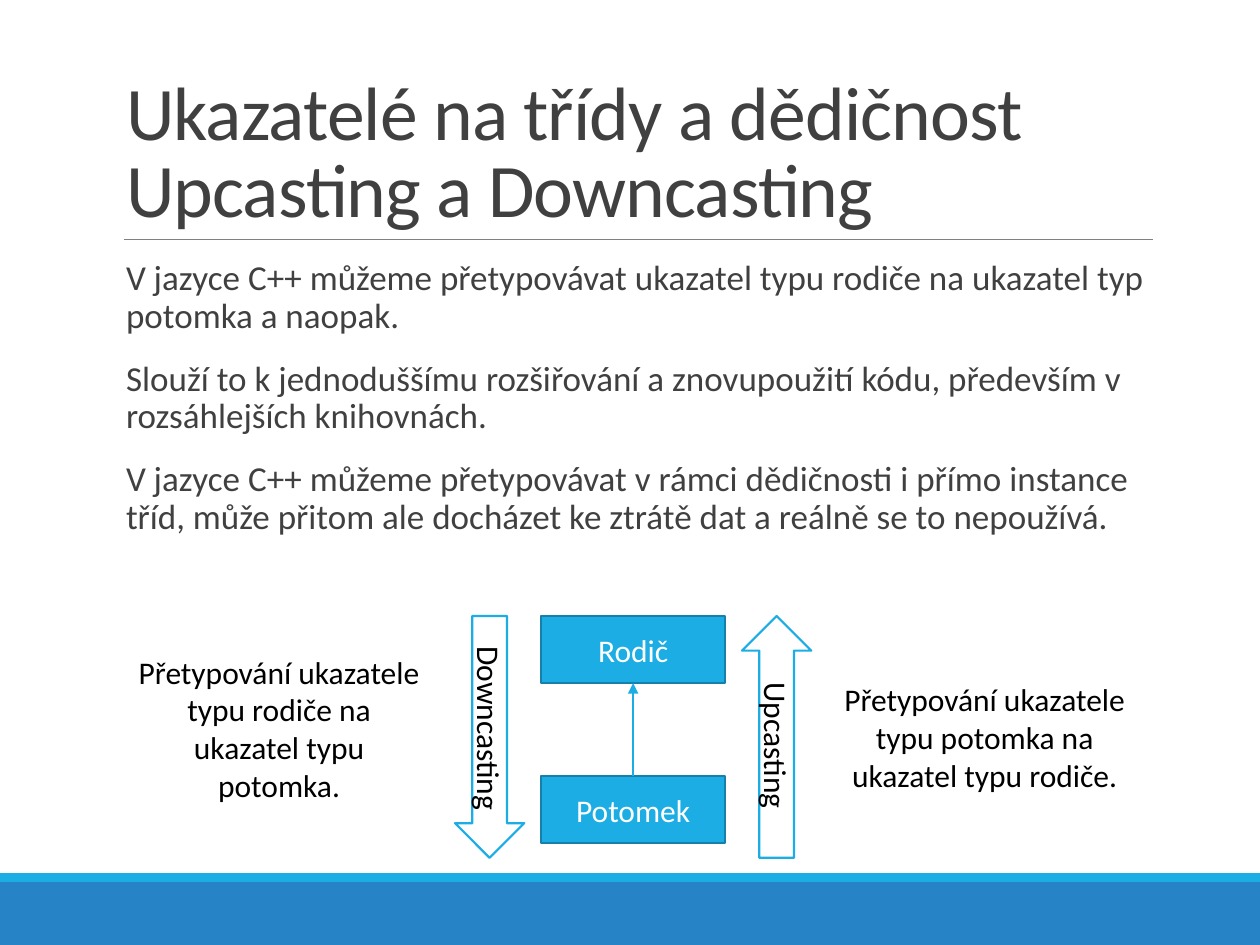
from pptx import Presentation
from pptx.dml.color import RGBColor
from pptx.enum import shapes, text
from pptx.oxml.ns import qn
from pptx.util import Pt

HUES = {
    "band": "2683C6", "sky": "1CADE4", "edge": "1580A9", "rule": "808080",
    "gray": "404040", "black": "000000", "white": "FFFFFF",
}
RGB = {name: RGBColor.from_string(code) for name, code in HUES.items()}
KIND = shapes.MSO_SHAPE

deck = Presentation()
deck.slide_width, deck.slide_height = Pt(720), Pt(540)
slide = deck.slides.add_slide(deck.slide_layouts[1])
items = slide.shapes


def style(frame, size, hue, align, **form):
    """Format the frame, then every paragraph and run in it."""
    frame.word_wrap = True
    frame.auto_size = text.MSO_AUTO_SIZE.NONE
    for para in frame.paragraphs:
        para.alignment = align
        for key, value in form.items():
            setattr(para, key, value)
        for run in para.runs:
            run.font.name, run.font.size = "Calibri", Pt(size)
            run.font.color.rgb = RGB[hue]


def draw(kind, box, fill, edge=None, label="", hue="white"):
    shape = items.add_shape(kind, *map(Pt, box))
    shape.shadow.inherit = False
    shape.fill.solid()
    shape.fill.fore_color.rgb = RGB[fill]
    if edge:
        shape.line.color.rgb = RGB[edge]
        shape.line.width = Pt(1.25)
    else:
        shape.line.fill.background()
    if label:
        shape.text_frame.text = label
        shape.text_frame.vertical_anchor = text.MSO_ANCHOR.MIDDLE
        style(shape.text_frame, 18, hue, text.PP_ALIGN.CENTER)
    return shape


# Footer bands
draw(KIND.RECTANGLE, (0, 504, 720, 36), "band")
draw(KIND.RECTANGLE, (0, 499, 720, 5), "sky")

# Title and list
title, body = items.title, slide.placeholders[1]
for part, box in ((title, (64.8, 22.3, 594, 114.5)), (body, (64.8, 145.4, 594, 198))):
    part.left, part.top, part.width, part.height = map(Pt, box)

title.text_frame.text = "Ukazatelé na třídy a dědičnost\vUpcasting a Downcasting"
title.text_frame.vertical_anchor = text.MSO_ANCHOR.BOTTOM
style(title.text_frame, 43.2, "gray", text.PP_ALIGN.LEFT, line_spacing=0.85)
for run in title.text_frame.paragraphs[0].runs:
    run._r.get_or_add_rPr().set("spc", "-50")

frame = body.text_frame
frame.text = "\n".join((
    "V jazyce C++ můžeme přetypovávat ukazatel typu rodiče na ukazatel typ potomka a naopak.",
    "Slouží to k jednoduššímu rozšiřování a znovupoužití kódu, především v rozsáhlejších knihovnách.",
    "V jazyce C++ můžeme přetypovávat v rámci dědičnosti i přímo instance tříd, "
    "může přitom ale docházet ke ztrátě dat a reálně se to nepoužívá.",
))
frame.margin_left = frame.margin_right = 0
frame.vertical_anchor = text.MSO_ANCHOR.TOP
for para in frame.paragraphs:
    props = para._p.get_or_add_pPr()
    props.set("marL", str(Pt(7.2)))
    props.set("indent", "0")
    props.append(props.makeelement(qn("a:buNone"), {}))
style(frame, 20, "gray", text.PP_ALIGN.LEFT,
      line_spacing=0.9, space_before=Pt(12), space_after=Pt(2))
frame.paragraphs[0].space_before = Pt(0)

# Casting arrows
for kind, left, label in ((KIND.UP_ARROW, 424, "Upcasting"),
                          (KIND.DOWN_ARROW, 260, "Downcasting")):
    arrow = draw(kind, (left, 352, 39.6, 138.2), "white", "sky", label, "black")
    arrow.text_frame._txBody.bodyPr.set("vert", "vert")

# Class boxes
parent, child = [
    draw(KIND.RECTANGLE, (309.2, top, 105.2, 38.4), "sky", "edge", label)
    for top, label in ((352, "Rodič"), (443.4, "Potomek"))
]

# Rule under the title, and the link from child to parent
lines = []
for ends, hue, width in (((70.6, 136.8, 658.8, 136.8), "rule", 0.5),
                         ((361.8, 443.4, 361.8, 390.4), "sky", 1)):
    line = items.add_connector(shapes.MSO_CONNECTOR.STRAIGHT, *map(Pt, ends))
    line.line.color.rgb = RGB[hue]
    line.line.width = Pt(width)
    props = line._element.spPr
    props.append(props.makeelement(qn("a:effectLst"), {}))
    lines.append(line)
link = lines[1]
link.begin_connect(child, 0)
link.end_connect(parent, 2)
stroke = link.line._get_or_add_ln()
stroke.append(stroke.makeelement(qn("a:tailEnd"), {"type": "triangle"}))

# Notes beside the arrows
for box, label in (
    ((466.6, 385.2, 192.2, 72.7), "Přetypování ukazatele typu potomka na ukazatel typu rodiče."),
    ((68.4, 369.4, 182.2, 94.3), "Přetypování ukazatele typu rodiče na ukazatel typu potomka."),
):
    note = items.add_textbox(*map(Pt, box))
    note.text_frame.text = label
    style(note.text_frame, 18, "black", text.PP_ALIGN.CENTER)

deck.save("out.pptx")
